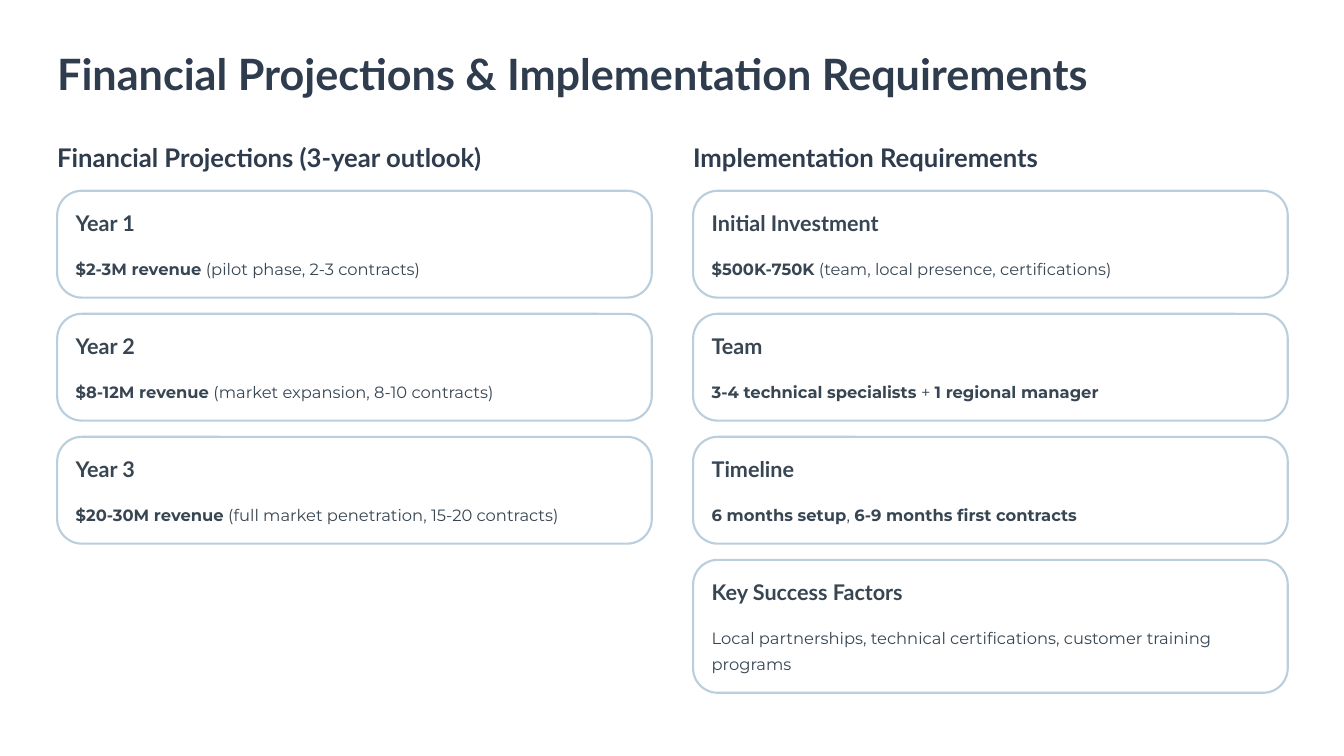
from pptx import Presentation
from pptx.dml.color import RGBColor
from pptx.enum.shapes import MSO_SHAPE
from pptx.util import Cm, Pt

TITLE = "Financial Projections & Implementation Requirements"
COLUMNS = [
    ("Financial Projections (3-year outlook)", [
        ("Year 1", [("$2-3M revenue", True), (" (pilot phase, 2-3 contracts)", False)], 1),
        ("Year 2", [("$8-12M revenue", True), (" (market expansion, 8-10 contracts)", False)], 1),
        ("Year 3", [("$20-30M revenue", True),
                    (" (full market penetration, 15-20 contracts)", False)], 1),
    ]),
    ("Implementation Requirements", [
        ("Initial Investment", [("$500K-750K", True),
                                (" (team, local presence, certifications)", False)], 1),
        ("Team", [("3-4 technical specialists", True), (" + ", False),
                  ("1 regional manager", True)], 1),
        ("Timeline", [("6 months setup", True), (", ", False),
                      ("6-9 months first contracts", True)], 1),
        ("Key Success Factors", [("Local partnerships, technical certifications, "
                                  "customer training programs", False)], 2),
    ]),
]

NAVY = RGBColor(0x2E, 0x3C, 0x4E)
SLATE = RGBColor(0x38, 0x46, 0x53)
PALE_BLUE = RGBColor(0xBA, 0xCF, 0xDD)
WHITE = RGBColor(0xFF, 0xFF, 0xFF)

LEFT, COLUMN_STEP = 1.73, 19.23
CARD_TOP, CARD_STEP, CARD_WIDTH = 5.77, 3.72, 17.98
CARD_BASE, LINE_HEIGHT = 2.44, 0.79
PADDING, BODY_OFFSET, RADIUS = 0.56, 1.87, 0.745


def add_text(page, spans, left, top, width, height, *, size, spacing,
             font="Lato", color=NAVY, wrap=False):
    box = page.shapes.add_textbox(Cm(left), Cm(top), Cm(width), Cm(height))
    frame = box.text_frame
    frame.margin_left = frame.margin_top = frame.margin_right = frame.margin_bottom = 0
    frame.word_wrap = wrap
    para = frame.paragraphs[0]
    para.line_spacing = Pt(spacing)
    for text, bold in spans:
        span = para.add_run()
        span.text = text
        span.font.name = font
        span.font.size = Pt(size)
        span.font.bold = bold
        span.font.color.rgb = color


def add_card(page, heading, body, lines, left, top):
    height = CARD_BASE + LINE_HEIGHT * lines
    card = page.shapes.add_shape(MSO_SHAPE.ROUNDED_RECTANGLE,
                                 Cm(left), Cm(top), Cm(CARD_WIDTH), Cm(height))
    card.adjustments[0] = RADIUS / height
    card.shadow.inherit = False
    card.fill.solid()
    card.fill.fore_color.rgb = WHITE
    card.line.color.rgb = PALE_BLUE
    card.line.width = Pt(1.8)
    add_text(page, [(heading, True)], left + PADDING, top + PADDING, 6.53, 0.81,
             size=18.5, spacing=23, color=SLATE)
    add_text(page, body, left + PADDING, top + BODY_OFFSET,
             CARD_WIDTH - 2 * PADDING, LINE_HEIGHT * lines,
             size=14, spacing=22.5, font="Montserrat", color=SLATE, wrap=lines > 1)


def main():
    deck = Presentation()
    deck.slide_width, deck.slide_height = Cm(40.64), Cm(22.86)
    page = deck.slides.add_slide(deck.slide_layouts[6])
    add_text(page, [(TITLE, True)], LEFT, 1.37, 31.17, 1.63, size=37, spacing=46)
    for column, (heading, cards) in enumerate(COLUMNS):
        left = LEFT + column * COLUMN_STEP
        add_text(page, [(heading, True)], left, 4.24, 13, 0.99, size=22, spacing=27.5)
        for row, (name, body, lines) in enumerate(cards):
            add_card(page, name, body, lines, left, CARD_TOP + row * CARD_STEP)
    deck.save("out.pptx")


if __name__ == "__main__":
    main()
